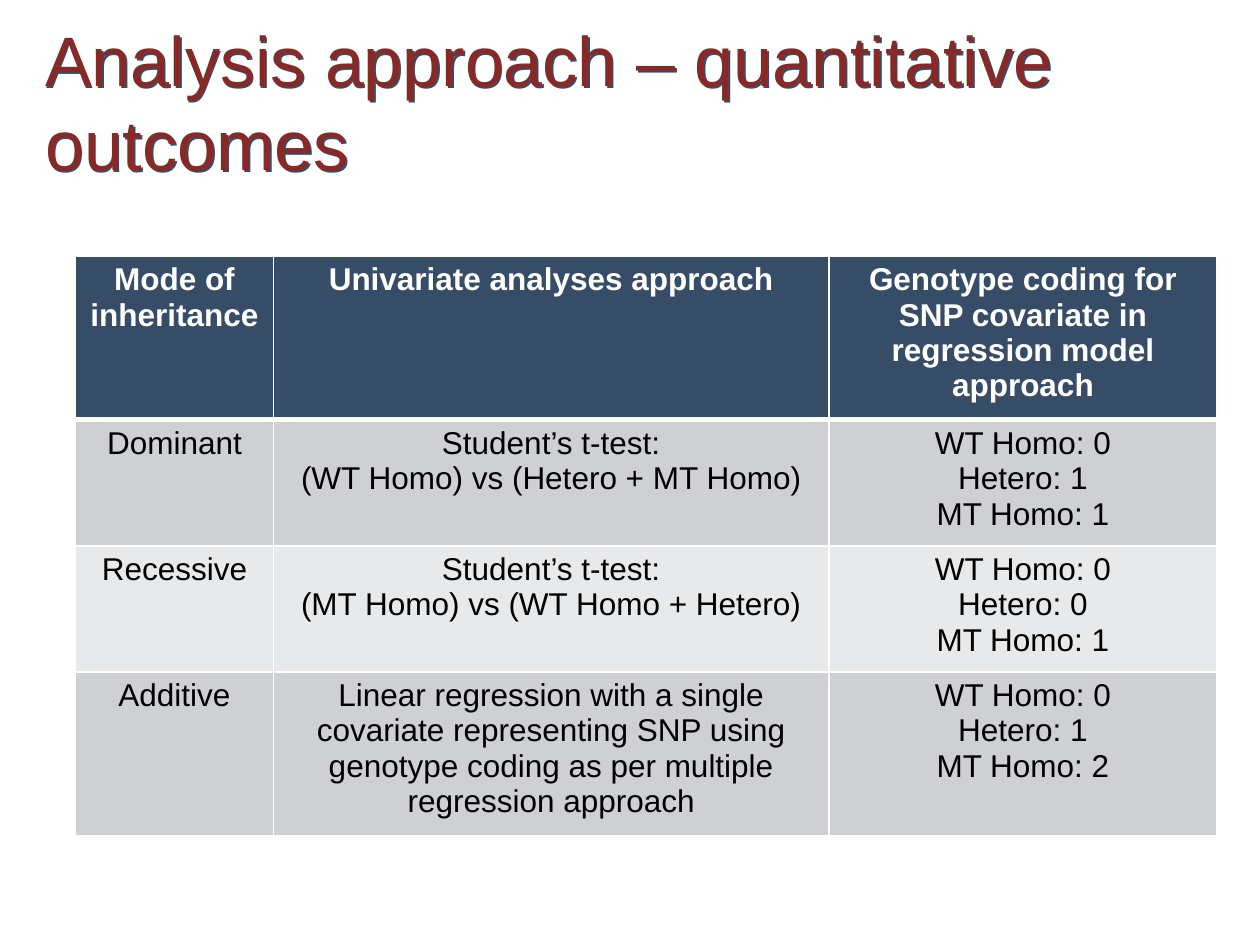
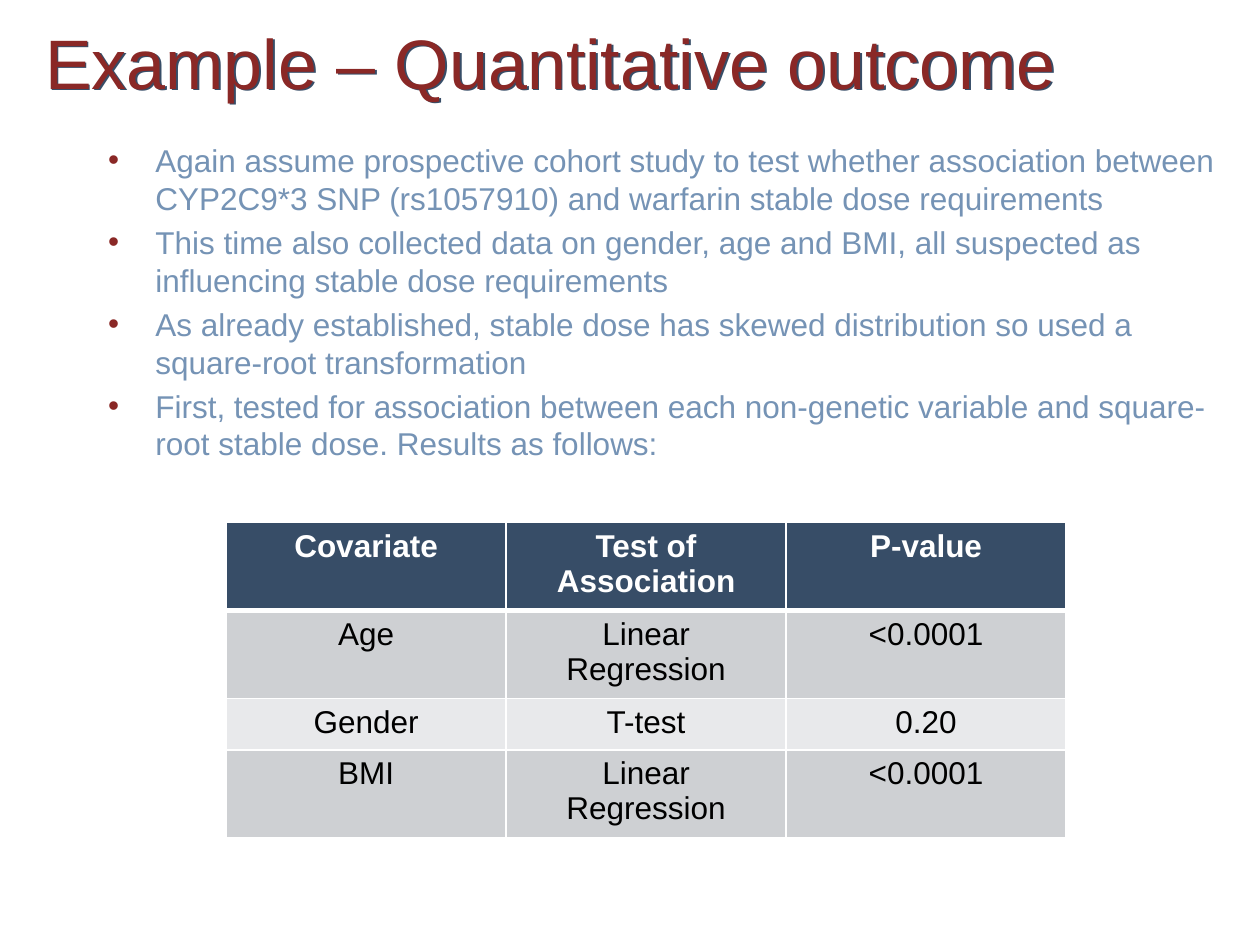
from lxml import etree
from pptx import Presentation
from pptx.dml.color import RGBColor
from pptx.enum import text as t
from pptx.oxml import ns
from pptx.util import Pt

FONT = "Arial"
RED, NAVY, BLUE = "8A2826", "374D67", "7593B5"
WHITE, BLACK = "FFFFFF", "000000"
BANDS = ["CED0D3", "E8E9EB"]
LEFT, WIDE = 18.72, 701.28
ROW = 29.2

MODES = [
    ["Mode of inheritance", "Univariate analyses approach",
     "Genotype coding for SNP covariate in regression model approach"],
    ["Dominant", "Student’s t-test:\n(WT Homo) vs (Hetero + MT Homo)",
     "WT Homo: 0\nHetero: 1\nMT Homo: 1"],
    ["Recessive", "Student’s t-test:\n(MT Homo) vs (WT Homo + Hetero)",
     "WT Homo: 0\nHetero: 0\nMT Homo: 1"],
    ["Additive",
     "Linear regression with a single covariate representing SNP using "
     "genotype coding as per multiple regression approach",
     "WT Homo: 0\nHetero: 1\nMT Homo: 2"],
]
TESTS = [
    ["Covariate", "Test of Association", "P-value"],
    ["Age", "Linear Regression", "<0.0001"],
    ["Gender", "T-test", "0.20"],
    ["BMI", "Linear Regression", "<0.0001"],
]
POINTS = [
    "Again assume prospective cohort study to test whether association between "
    "CYP2C9*3 SNP (rs1057910) and warfarin stable dose requirements",
    "This time also collected data on gender, age and BMI, all suspected as "
    "influencing stable dose requirements",
    "As already established, stable dose has skewed distribution so used a "
    "square-root transformation",
    "First, tested for association between each non-genetic variable and "
    "square-root stable dose. Results as follows:",
]


def color(code):
    """Turn a hex string into a colour."""
    return RGBColor.from_string(code)


def node(parent, tag, **attrs):
    """Add an XML child with the given attributes."""
    child = etree.SubElement(parent, ns.qn(tag))
    for key, value in attrs.items():
        child.set(key, str(value))
    return child


def write(frame, words, size=18, ink=BLACK, bold=False, align=None, before=0, line=None):
    """Write one paragraph for each line of words."""
    for i, part in enumerate(words.split("\n")):
        para = frame.add_paragraph() if i else frame.paragraphs[0]
        para.alignment = align
        para.space_before = Pt(before)
        para.line_spacing = line
        run = para.add_run()
        run.text = part
        font = run.font
        font.name, font.size, font.bold = FONT, Pt(size), bold
        font.color.rgb = color(ink)


def box(slide, x, y, w, h):
    """Add a wrapping text box."""
    shape = slide.shapes.add_textbox(Pt(x), Pt(y), Pt(w), Pt(h))
    shape.text_frame.word_wrap = True
    return shape


def title(slide, words, y):
    """Add the red title with its navy shadow."""
    shape = box(slide, LEFT, y, WIDE, 39.6)
    shape.text_frame.vertical_anchor = t.MSO_ANCHOR.MIDDLE
    write(shape.text_frame, words, size=40, ink=RED)
    effects = node(shape._element.spPr, "a:effectLst")
    shadow = node(effects, "a:outerShdw", dist=Pt(1.5), dir=2700000, algn="ctr")
    node(shadow, "a:srgbClr", val=NAVY)


def bullets(slide, items, y, h):
    """Add the bulleted list."""
    frame = box(slide, LEFT, y, WIDE, h).text_frame
    write(frame, "\n".join(items), ink=BLUE, before=3.6)
    for para in frame.paragraphs:
        props = para._p.get_or_add_pPr()
        props.set("marL", str(Pt(63)))
        props.set("indent", str(Pt(-27)))
        node(node(props, "a:buClr"), "a:srgbClr", val=RED)
        node(props, "a:buFont", typeface=FONT)
        node(props, "a:buChar", char="•")


def edge(cell, head):
    """Draw white borders, with a thick one under the head row."""
    props = cell._tc.get_or_add_tcPr()
    for i, side in enumerate(["L", "R", "T", "B"]):
        width = Pt(3 if head and side == "B" else 1)
        line = etree.Element(ns.qn(f"a:ln{side}"), w=str(width))
        node(node(line, "a:solidFill"), "a:srgbClr", val=WHITE)
        props.insert(i, line)


def grid(slide, rows, x, y, widths):
    """Add a banded table with a dark head row."""
    frame = slide.shapes.add_table(len(rows), len(widths), Pt(x), Pt(y),
                                   Pt(sum(widths)), Pt(ROW * len(rows)))
    table = frame.table
    for col, width in zip(table.columns, widths):
        col.width = Pt(width)
    for r, row in enumerate(rows):
        head = r == 0
        for c, words in enumerate(row):
            cell = table.cell(r, c)
            cell.fill.solid()
            cell.fill.fore_color.rgb = color(NAVY if head else BANDS[(r - 1) % 2])
            edge(cell, head)
            write(cell.text_frame, words, ink=WHITE if head else BLACK,
                  bold=head, align=t.PP_ALIGN.CENTER)


def modes(slide):
    """Build the slide on modes of inheritance."""
    title(slide, "Analysis approach – quantitative outcomes", 37.44)
    grid(slide, MODES, 43.2, 146.2, [113, 317.5, 221.8])


def sample(slide):
    """Build the slide with the worked example."""
    title(slide, "Example – Quantitative outcome", 15.12)
    bullets(slide, POINTS, 77, 425.5)
    grid(slide, TESTS, 129.2, 298.4, [160] * 3)


def main():
    """Build and save both slides."""
    deck = Presentation()
    deck.slide_width, deck.slide_height = Pt(720), Pt(540)
    for build in (modes, sample):
        build(deck.slides.add_slide(deck.slide_layouts[6]))
    deck.save("out.pptx")


if __name__ == "__main__":
    main()
